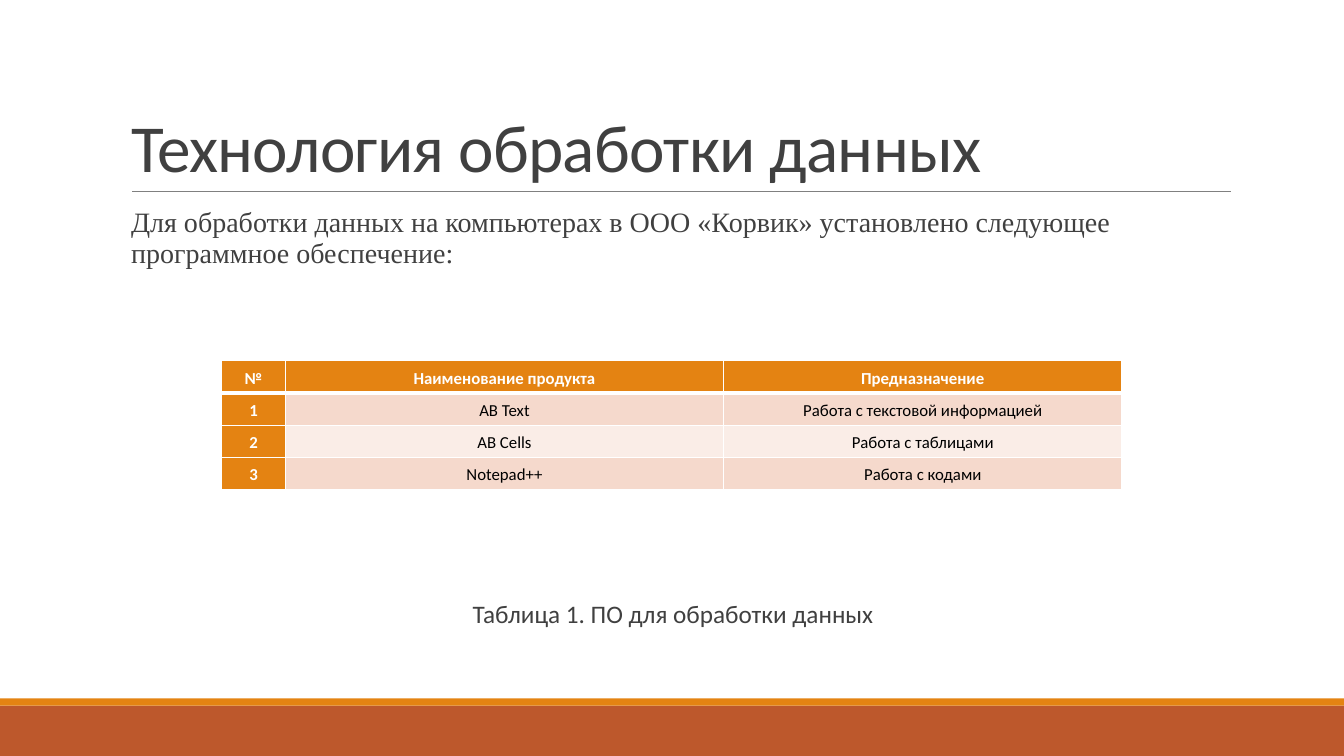
import dataclasses
import lxml.etree
import pptx
import pptx.dml.color
import pptx.enum.shapes
import pptx.enum.text
import pptx.oxml.ns
import pptx.util

GRID = 0.1
WIDE, HIGH = 133.33, 75
ORANGE, RUST, GREY, INK = "E48312", "BD582C", "808080", "404040"
WHITE, BLACK = "FFFFFF", "000000"
TINTS = ("FAEDE7", "F5D9CC")
COLS = (6.3, 43.5, 39.5)
ROW = 3.2
DATA = (
    ("№", "Наименование продукта", "Предназначение"),
    ("1", "AB Text", "Работа с текстовой информацией"),
    ("2", "AB Cells", "Работа с таблицами"),
    ("3", "Notepad++", "Работа с кодами"),
)


@dataclasses.dataclass
class Box:
    left: float
    top: float
    width: float
    height: float

    def span(self) -> tuple:
        return tuple(map(unit, (self.left, self.top, self.width, self.height)))


@dataclasses.dataclass
class Band:
    box: Box
    fill: str


@dataclasses.dataclass
class Style:
    size: float
    tint: str
    font: str = "Calibri"
    bold: bool = False


BANDS = (
    Band(Box(0, 70, WIDE, 5), RUST),
    Band(Box(0, 69.3, WIDE, 0.7), ORANGE),
)


def unit(count: float) -> int:
    return pptx.util.Inches(count * GRID)


def color(code: str) -> pptx.dml.color.RGBColor:
    return pptx.dml.color.RGBColor.from_string(code)


def node(root, tag: str, **attrs: str):
    return lxml.etree.SubElement(root, pptx.oxml.ns.qn(tag), **attrs)


def write(frame, text: str, style: Style):
    frame.text = text
    para = frame.paragraphs[0]
    font = para.runs[0].font
    font.size = pptx.util.Pt(style.size)
    font.name = style.font
    font.bold = style.bold
    font.color.rgb = color(style.tint)
    return para


def place(shape, box: Box) -> None:
    shape.left, shape.top, shape.width, shape.height = box.span()


def draw_band(slide, band: Band) -> None:
    shape = slide.shapes.add_shape(
        pptx.enum.shapes.MSO_SHAPE.RECTANGLE, *band.box.span())
    shape.shadow.inherit = False
    shape.fill.solid()
    shape.fill.fore_color.rgb = color(band.fill)
    shape.line.fill.background()


def draw_rule(slide) -> None:
    rule = slide.shapes.add_connector(
        pptx.enum.shapes.MSO_CONNECTOR.STRAIGHT, *map(unit, (13.1, 19, 122.1, 19)))
    rule.line.color.rgb = color(GREY)
    rule.line.width = pptx.util.Pt(0.5)
    node(rule._element.spPr, "a:effectLst")


def draw_title(slide) -> None:
    title = slide.shapes.title
    place(title, Box(12, 3.1, 110, 15.9))
    frame = title.text_frame
    para = write(frame, "Технология обработки данных", Style(48, INK))
    frame.vertical_anchor = pptx.enum.text.MSO_ANCHOR.BOTTOM
    frame.auto_size = pptx.enum.text.MSO_AUTO_SIZE.NONE
    para.alignment = pptx.enum.text.PP_ALIGN.LEFT
    para.line_spacing = 0.85
    para.runs[0]._r.get_or_add_rPr().set("spc", "-50")


def draw_body(slide) -> None:
    body = slide.placeholders[1]
    place(body, Box(12, 20.2, 110, 44))
    frame = body.text_frame
    frame.auto_size = pptx.enum.text.MSO_AUTO_SIZE.NONE
    frame.margin_left = frame.margin_right = 0
    para = write(
        frame,
        "Для обработки данных на компьютерах в ООО «Корвик» "
        "установлено следующее программное обеспечение:",
        Style(20, INK, "Times New Roman"))
    props = para._p.get_or_add_pPr()
    props.set("marL", str(unit(1)))
    props.set("indent", str(-unit(1)))
    node(node(props, "a:buClr"), "a:srgbClr", val=ORANGE)
    node(props, "a:buChar", char=" ")
    para.line_spacing = 0.9
    para.space_before = pptx.util.Pt(0)
    para.space_after = pptx.util.Pt(2)


def edge(cell, row: int) -> None:
    props = cell._tc.get_or_add_tcPr()
    thick = {"T": 3 if row == 1 else 1, "B": 3 if row == 0 else 1}
    for spot, side in enumerate("LRTB"):
        width = pptx.util.Pt(thick.get(side, 1))
        line = node(props, f"a:ln{side}", w=str(width))
        node(node(line, "a:solidFill"), "a:srgbClr", val=WHITE)
        props.insert(spot, line)


def draw_cell(cell, text: str, row: int, col: int) -> None:
    head = row == 0 or col == 0
    cell.fill.solid()
    cell.fill.fore_color.rgb = color(ORANGE if head else TINTS[row % 2])
    cell.vertical_anchor = pptx.enum.text.MSO_ANCHOR.MIDDLE
    cell.margin_left = cell.margin_right = unit(0.7)
    cell.margin_top = cell.margin_bottom = 0
    style = Style(12, WHITE if head else BLACK, bold=head)
    para = write(cell.text_frame, text, style)
    para.alignment = pptx.enum.text.PP_ALIGN.CENTER
    para.line_spacing = 1.15
    para.space_after = pptx.util.Pt(10)
    edge(cell, row)


def draw_table(slide) -> None:
    box = Box(22, 35.8, sum(COLS), ROW * len(DATA))
    table = slide.shapes.add_table(len(DATA), len(COLS), *box.span()).table
    table.first_col = True
    for col, width in zip(table.columns, COLS):
        col.width = unit(width)
    for row, texts in enumerate(DATA):
        table.rows[row].height = unit(ROW)
        for col, text in enumerate(texts):
            draw_cell(table.cell(row, col), text, row, col)


def draw_note(slide) -> None:
    note = slide.shapes.add_textbox(*Box(45.9, 58.9, 42.2, 4).span())
    frame = note.text_frame
    frame.word_wrap = False
    frame.auto_size = pptx.enum.text.MSO_AUTO_SIZE.SHAPE_TO_FIT_TEXT
    write(frame, "Таблица 1. ПО для обработки данных", Style(18, INK))


def main() -> None:
    deck = pptx.Presentation()
    deck.slide_width, deck.slide_height = unit(WIDE), unit(HIGH)
    slide = deck.slides.add_slide(deck.slide_layouts[1])
    for band in BANDS:
        draw_band(slide, band)
    for draw in (draw_rule, draw_title, draw_body, draw_table, draw_note):
        draw(slide)
    deck.save("out.pptx")


if __name__ == "__main__":
    main()
